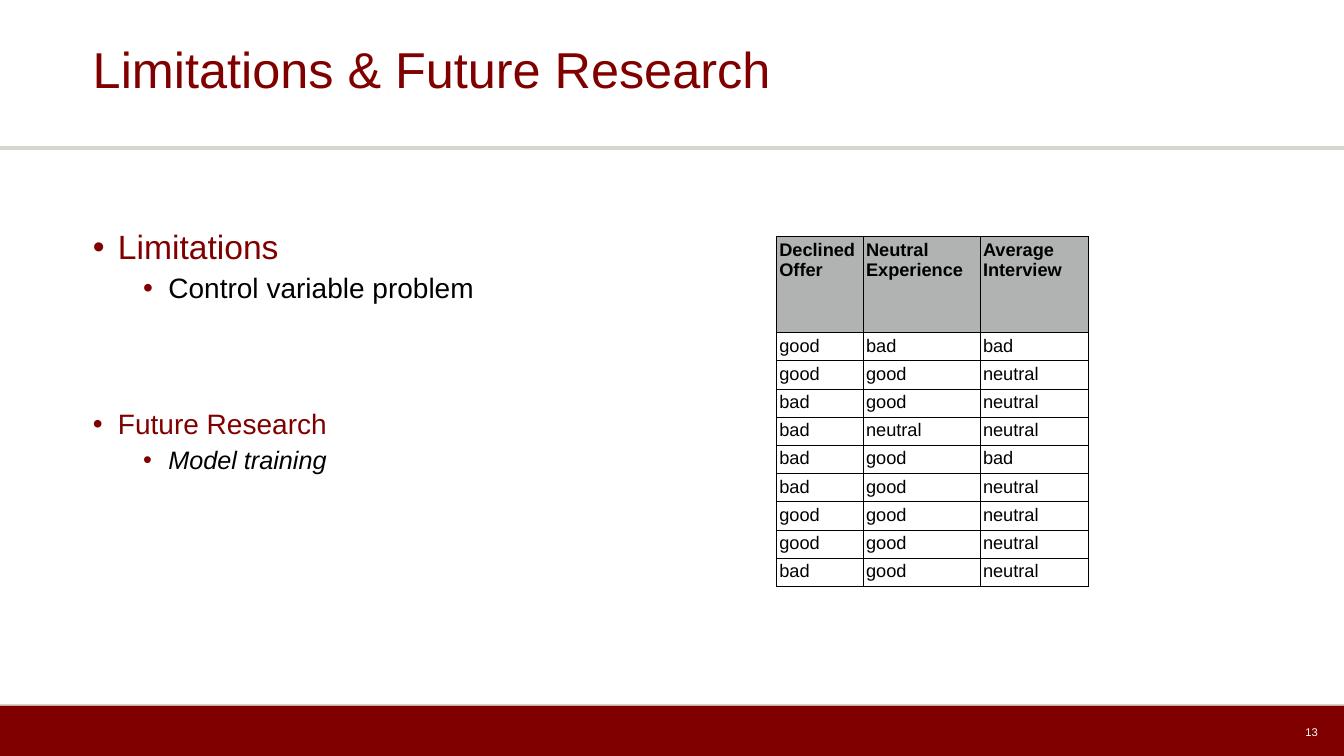
"""Build the Limitations & Future Research slide."""
from dataclasses import dataclass

from lxml.etree import SubElement
from pptx import Presentation
from pptx.dml.color import RGBColor
from pptx.enum.shapes import MSO_CONNECTOR, MSO_SHAPE
from pptx.enum.text import MSO_ANCHOR as Anchor, PP_ALIGN as Align
from pptx.oxml.ns import qn
from pptx.slide import Slide
from pptx.table import _Cell as Cell
from pptx.text.text import TextFrame, _Paragraph as Paragraph
from pptx.util import Inches, Pt

COLORS = {
    "maroon": "800000",
    "rule": "D6D6CE",
    "header": "B0B3B2",
    "black": "000000",
    "white": "FFFFFF",
}
FONT = "Arial"
SLIDE_WIDTH, SLIDE_HEIGHT = 13.33, 7.5
TABLE_LEFT, TABLE_TOP = 7.7, 2.35
COLUMN_WIDTHS = (0.86, 1.16, 1.08)
HEADER_HEIGHT, ROW_HEIGHT = 0.95, 0.28
CELL_MARGIN = 0.03
RATINGS = (
    ("Declined Offer", "Neutral Experience", "Average Interview"),
    ("good", "bad", "bad"),
    ("good", "good", "neutral"),
    ("bad", "good", "neutral"),
    ("bad", "neutral", "neutral"),
    ("bad", "good", "bad"),
    ("bad", "good", "neutral"),
    ("good", "good", "neutral"),
    ("good", "good", "neutral"),
    ("bad", "good", "neutral"),
)


@dataclass(frozen=True)
class Rule:
    top: float
    weight: float


@dataclass(frozen=True)
class Bullet:
    text: str
    size: float
    color: str
    indent: float
    space_before: float
    italic: bool = False


RULES = (Rule(6.99, 0.5), Rule(1.47, 3))
BULLETS = (
    Bullet("Limitations", 24, "maroon", 0.25, 0),
    Bullet("Control variable problem", 20, "black", 0.75, 5),
    Bullet("Future Research", 20, "maroon", 0.25, 76),
    Bullet("Model training", 18, "black", 0.75, 5, italic=True),
)


def rgb(name: str) -> RGBColor:
    return RGBColor.from_string(COLORS[name])


def style(para: Paragraph, size: float, color: str,
          bold: bool = False, italic: bool = False) -> None:
    font = para.font
    font.name, font.size = FONT, Pt(size)
    font.bold, font.italic = bold, italic
    font.color.rgb = rgb(color)


def add_box(page: Slide, left: float, top: float, width: float, height: float,
            anchor: Anchor, side_margin: float = 0) -> TextFrame:
    box = page.shapes.add_textbox(
        Inches(left), Inches(top), Inches(width), Inches(height))
    frame = box.text_frame
    frame.word_wrap = True
    frame.vertical_anchor = anchor
    frame.margin_left = frame.margin_right = Inches(side_margin)
    return frame


def add_rule(page: Slide, rule: Rule) -> None:
    line = page.shapes.add_connector(
        MSO_CONNECTOR.STRAIGHT, 0, Inches(rule.top),
        Inches(SLIDE_WIDTH), Inches(rule.top))
    line.line.color.rgb = rgb("rule")
    line.line.width = Pt(rule.weight)
    SubElement(line._element.spPr, qn("a:effectLst"))


def add_footer_band(page: Slide) -> None:
    band = page.shapes.add_shape(
        MSO_SHAPE.RECTANGLE, 0, Inches(7), Inches(SLIDE_WIDTH), Inches(0.5))
    band.shadow.inherit = False
    band.fill.solid()
    band.fill.fore_color.rgb = rgb("maroon")
    band.line.fill.background()


def write_bullet(para: Paragraph, bullet: Bullet) -> None:
    para.text = bullet.text
    para.line_spacing = 0.9
    para.space_before = Pt(bullet.space_before)
    props = para._p.get_or_add_pPr()
    props.set("marL", str(Inches(bullet.indent)))
    props.set("indent", str(Inches(-0.25)))
    marker_color = SubElement(props, qn("a:buClr"))
    SubElement(marker_color, qn("a:srgbClr"), val=COLORS["maroon"])
    SubElement(props, qn("a:buFont"), typeface=FONT)
    SubElement(props, qn("a:buChar"), char="•")
    style(para, bullet.size, bullet.color, italic=bullet.italic)


def add_borders(cell: Cell) -> None:
    props = cell._tc.get_or_add_tcPr()
    for side in ("lnL", "lnR", "lnT", "lnB"):
        border = SubElement(props, qn(f"a:{side}"), w=str(Pt(0.75)))
        fill = SubElement(border, qn("a:solidFill"))
        SubElement(fill, qn("a:srgbClr"), val=COLORS["black"])


def write_cell(cell: Cell, text: str, is_header: bool) -> None:
    cell.text = text
    cell.margin_left = cell.margin_right = Inches(CELL_MARGIN)
    cell.margin_top = cell.margin_bottom = Inches(CELL_MARGIN)
    add_borders(cell)
    if is_header:
        cell.fill.solid()
        cell.fill.fore_color.rgb = rgb("header")
    else:
        cell.fill.background()
    style(cell.text_frame.paragraphs[0], 13, "black", bold=is_header)


def add_ratings_table(page: Slide) -> None:
    height = HEADER_HEIGHT + ROW_HEIGHT * (len(RATINGS) - 1)
    table = page.shapes.add_table(
        len(RATINGS), len(COLUMN_WIDTHS), Inches(TABLE_LEFT), Inches(TABLE_TOP),
        Inches(sum(COLUMN_WIDTHS)), Inches(height)).table
    table.horz_banding = False
    for column, width in zip(table.columns, COLUMN_WIDTHS):
        column.width = Inches(width)
    for index, (row, texts) in enumerate(zip(table.rows, RATINGS)):
        row.height = Inches(ROW_HEIGHT if index else HEADER_HEIGHT)
        for cell, text in zip(row.cells, texts):
            write_cell(cell, text, is_header=index == 0)


def main() -> None:
    deck = Presentation()
    deck.slide_width, deck.slide_height = Inches(SLIDE_WIDTH), Inches(SLIDE_HEIGHT)
    page = deck.slides.add_slide(deck.slide_layouts[6])

    add_footer_band(page)
    for rule in RULES:
        add_rule(page, rule)

    title = add_box(page, 0.92, 0, 11.5, 1.44, Anchor.MIDDLE).paragraphs[0]
    title.text = "Limitations & Future Research"
    title.line_spacing = 0.9
    style(title, 36, "maroon")

    body = add_box(page, 0.92, 2.24, 5.08, 4.28, Anchor.TOP)
    for index, bullet in enumerate(BULLETS):
        write_bullet(body.add_paragraph() if index else body.paragraphs[0], bullet)

    number = add_box(page, 9.42, 7.06, 3.75, 0.4, Anchor.MIDDLE, 0.1).paragraphs[0]
    number.text = "13"
    number.alignment = Align.RIGHT
    style(number, 8, "white")

    add_ratings_table(page)
    deck.save("out.pptx")


if __name__ == "__main__":
    main()
